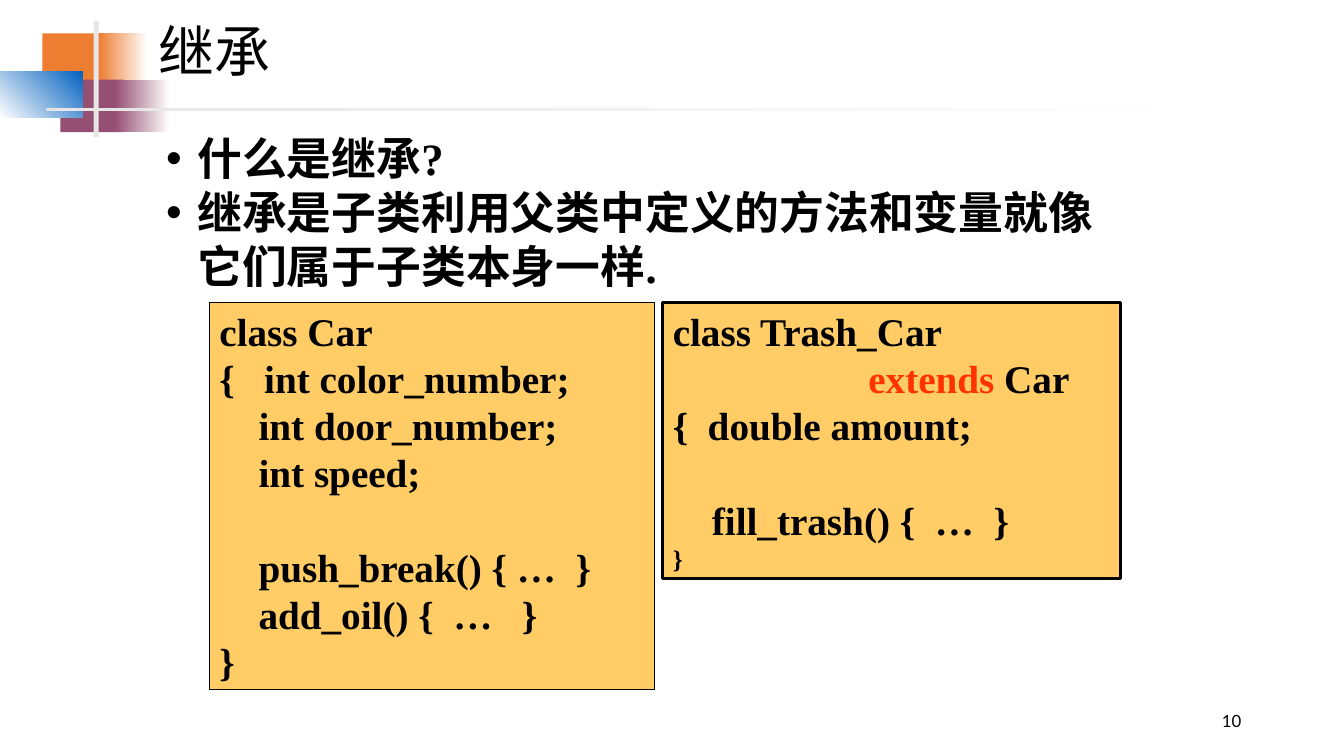
from pptx import Presentation
from pptx.dml.color import RGBColor
from pptx.enum.shapes import MSO_SHAPE
from pptx.enum.text import MSO_ANCHOR, PP_ALIGN
from pptx.oxml.ns import qn
from pptx.util import Pt
from lxml.etree import SubElement

PX = 9144
BLACK = "000000"
CODE_FILL = "FFCC66"
CJK = "Noto Sans CJK JP"
SERIF = "Times New Roman"


def color(code):
    return RGBColor.from_string(code)


def add_span(para, text, size, name, bold=False, code=BLACK):
    span = para.add_run()
    span.text = text
    for key, value in {"size": Pt(size), "name": name, "bold": bold}.items():
        setattr(span.font, key, value)
    span.font.color.rgb = color(code)
    SubElement(span.font._element, qn("a:ea"), typeface=CJK)


deck = Presentation()
deck.slide_width, deck.slide_height = 1334 * PX, 750 * PX
page = deck.slides.add_slide(deck.slide_layouts[5])

decorations = [
    (42, 33, 64, 52, ["ED7D31"], 0),
    (98, 33, 48, 52, ["ED7D31", "FFFFFF"], 0),
    (60, 79, 62, 52, ["954F72"], 0),
    (114, 79, 54, 52, ["954F72", "FFFFFF"], 0),
    (0, 71, 82, 46, ["FFFFFF", "0563C1"], 45),
    (93, 21, 5, 115, ["E7E6E6"], 0),
    (46, 107, 1200, 3, ["E7E6E6", "FFFFFF"], 0),
]
for left, top, width, height, codes, angle in decorations:
    bar = page.shapes.add_shape(MSO_SHAPE.RECTANGLE, left * PX, top * PX, width * PX, height * PX)
    bar.shadow.inherit = False
    bar.line.fill.background()
    if len(codes) == 1:
        bar.fill.solid()
        bar.fill.fore_color.rgb = color(codes[0])
    else:
        bar.fill.gradient()
        bar.fill.gradient_angle = angle
        for stop, code in zip(bar.fill.gradient_stops, codes):
            stop.color.rgb = color(code)

title = page.shapes.title
for key, value in {"left": 147, "top": 0, "width": 1095, "height": 107}.items():
    setattr(title, key, value * PX)
title.text_frame.vertical_anchor = MSO_ANCHOR.MIDDLE
para = title.text_frame.paragraphs[0]
para.alignment = PP_ALIGN.LEFT
para.line_spacing = 0.9
add_span(para, "继承", 40, CJK)

number = page.shapes.add_textbox(942 * PX, 695 * PX, 300 * PX, 40 * PX).text_frame
number.word_wrap = True
number.vertical_anchor = MSO_ANCHOR.MIDDLE
number.paragraphs[0].alignment = PP_ALIGN.RIGHT
add_span(number.paragraphs[0], "10", 12, "Lato")

points = page.shapes.add_textbox(155 * PX, 125 * PX, 962 * PX, 170 * PX).text_frame
points.word_wrap = True
for index, text in enumerate(["什么是继承?", "继承是子类利用父类中定义的方法和变量就像它们属于子类本身一样."]):
    para = points.add_paragraph() if index else points.paragraphs[0]
    props = para._p.get_or_add_pPr()
    props.set("marL", str(31 * PX))
    props.set("indent", str(-31 * PX))
    SubElement(props, qn("a:buFont"), typeface="Arial")
    SubElement(props, qn("a:buChar"), char="•")
    add_span(para, text, 32, SERIF, True)

car_lines = [
    [("class Car", 28, BLACK)],
    [("{   int color_number;", 28, BLACK)],
    [("    int door_number;", 28, BLACK)],
    [("    int speed;", 28, BLACK)],
    [],
    [("    push_break() { …  }", 28, BLACK)],
    [("    add_oil() {  …   }", 28, BLACK)],
    [("}", 28, BLACK)],
]
trash_car_lines = [
    [("class Trash_Car", 28, BLACK)],
    [("                   ", 28, BLACK), (" extends ", 28, "FF3300"), ("Car", 28, BLACK)],
    [("{  double amount;", 28, BLACK)],
    [],
    [("    fill_trash() {  …  }", 28, BLACK)],
    [("}", 18, BLACK)],
]
code_boxes = [
    (208, 442, 384, 0.75, car_lines),
    (658, 454, 274, 2.25, trash_car_lines),
]
for left, width, height, border, lines in code_boxes:
    box = page.shapes.add_shape(MSO_SHAPE.RECTANGLE, left * PX, 300 * PX, width * PX, height * PX)
    box.shadow.inherit = False
    box.fill.solid()
    box.fill.fore_color.rgb = color(CODE_FILL)
    box.line.color.rgb = color(BLACK)
    box.line.width = Pt(border)
    frame = box.text_frame
    frame.word_wrap = True
    frame.vertical_anchor = MSO_ANCHOR.TOP
    gap = 0
    for index, spans in enumerate(lines):
        if not spans:
            gap = 34
            continue
        para = frame.add_paragraph() if index else frame.paragraphs[0]
        para.alignment = PP_ALIGN.LEFT
        if gap:
            para.space_before = Pt(gap)
            gap = 0
        for text, size, code in spans:
            add_span(para, text, size, SERIF, True, code)

deck.save("out.pptx")
